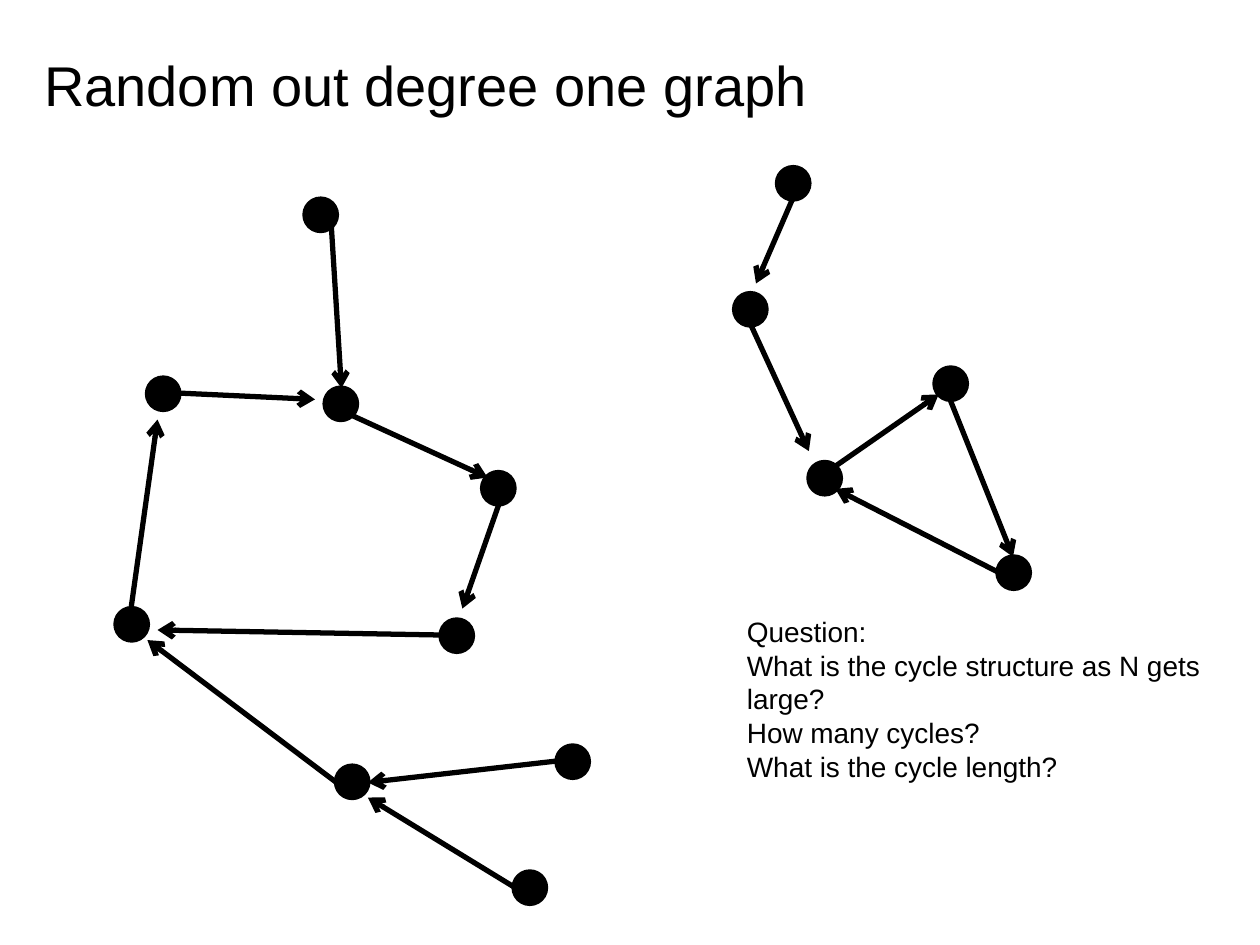
from lxml import etree
from pptx import Presentation
from pptx import util as u
from pptx.dml.color import RGBColor
from pptx.enum import shapes, text
from pptx.oxml import ns

BLACK = RGBColor(0, 0, 0)
WHITE = RGBColor(255, 255, 255)

# Left and top of each node, in inches
NODES = [
    # five-node cycle
    (2.58, 3.08), (3.83, 3.75), (3.5, 4.92), (0.92, 4.83), (1.17, 3),
    # trees leading into it
    (2.42, 1.58), (2.67, 6.08), (4.42, 5.92), (4.08, 6.92),
    # three-node cycle
    (6.42, 3.67), (7.42, 2.92), (7.92, 4.42),
    # path leading into it
    (6.17, 1.33), (5.83, 2.33),
]

# Start and end of each directed edge, in inches
EDGES = [
    # five-node cycle
    ((2.8, 3.3), (3.87, 3.79)),
    ((3.96, 4), (3.67, 4.83)),
    ((3.5, 5.04), (1.25, 5)),
    ((1.04, 4.83), (1.25, 3.33)),
    ((1.42, 3.12), (2.5, 3.17)),
    # trees leading into it
    ((2.63, 1.8), (2.71, 3.08)),
    ((2.67, 6.21), (1.17, 5.08)),
    ((4.42, 6.04), (2.92, 6.21)),
    ((4.08, 7.04), (2.92, 6.33)),
    # three-node cycle
    ((6.63, 3.7), (7.45, 3.13)),
    ((7.54, 3.17), (8.04, 4.42)),
    ((7.92, 4.54), (6.63, 3.88)),
    # path leading into it
    ((6.29, 1.58), (6, 2.25)),
    ((5.96, 2.58), (6.42, 3.58)),
]

QUESTIONS = [
    "Question:",
    "What is the cycle structure as N gets large?",
    "How many cycles?",
    "What is the cycle length?",
]


class GraphSlide:
    font = "Arial"
    color = BLACK
    line_width = u.Pt(3)
    node_size = u.Inches(0.25)

    def __init__(self, slide):
        self.s = slide
        slide.background.fill.solid()
        slide.background.fill.fore_color.rgb = WHITE

    def _line(self, line):
        line.color.rgb = self.color
        line.width = self.line_width

    def _write(self, sp, lines, size, anchor):
        tf = sp.text_frame
        tf.word_wrap = True
        tf.auto_size = text.MSO_AUTO_SIZE.SHAPE_TO_FIT_TEXT
        tf.vertical_anchor = anchor
        for i, content in enumerate(lines):
            p = tf.add_paragraph() if i else tf.paragraphs[0]
            p.alignment = text.PP_ALIGN.LEFT
            r = p.add_run()
            r.text = content
            r.font.name = self.font
            r.font.size = u.Pt(size)
            r.font.color.rgb = self.color

    def title(self, content, left, top, width, height):
        sp = self.s.shapes.title
        sp.left, sp.top = u.Inches(left), u.Inches(top)
        sp.width, sp.height = u.Inches(width), u.Inches(height)
        self._write(sp, [content], 32, text.MSO_ANCHOR.MIDDLE)

    def text_box(self, lines, left, top, width, height):
        sp = self.s.shapes.add_textbox(u.Inches(left), u.Inches(top),
                                       u.Inches(width), u.Inches(height))
        self._write(sp, lines, 16, text.MSO_ANCHOR.TOP)

    def node(self, left, top):
        sp = self.s.shapes.add_shape(shapes.MSO_SHAPE.OVAL, u.Inches(left), u.Inches(top),
                                     self.node_size, self.node_size)
        sp.shadow.inherit = False
        sp.fill.solid()
        sp.fill.fore_color.rgb = self.color
        self._line(sp.line)

    def edge(self, start, end):
        """Draw a directed edge with an open arrowhead at its end."""
        points = [u.Inches(v) for v in (*start, *end)]
        sp = self.s.shapes.add_connector(shapes.MSO_CONNECTOR.STRAIGHT, *points)
        self._line(sp.line)
        props = sp._element.spPr
        etree.SubElement(props.find(ns.qn("a:ln")), ns.qn("a:tailEnd"), type="arrow")
        etree.SubElement(props, ns.qn("a:effectLst"))


def main():
    prs = Presentation()
    prs.slide_width, prs.slide_height = u.Inches(10), u.Inches(7.5)
    title_only = prs.slide_layouts[5]
    graph = GraphSlide(prs.slides.add_slide(title_only))
    graph.title("Random out degree one graph", 0.25, 0.35, 8.42, 0.64)
    for node in NODES:
        graph.node(*node)
    for edge in EDGES:
        graph.edge(*edge)
    graph.text_box(QUESTIONS, 5.83, 4.83, 3.83, 1.45)
    prs.save("out.pptx")


if __name__ == "__main__":
    main()
